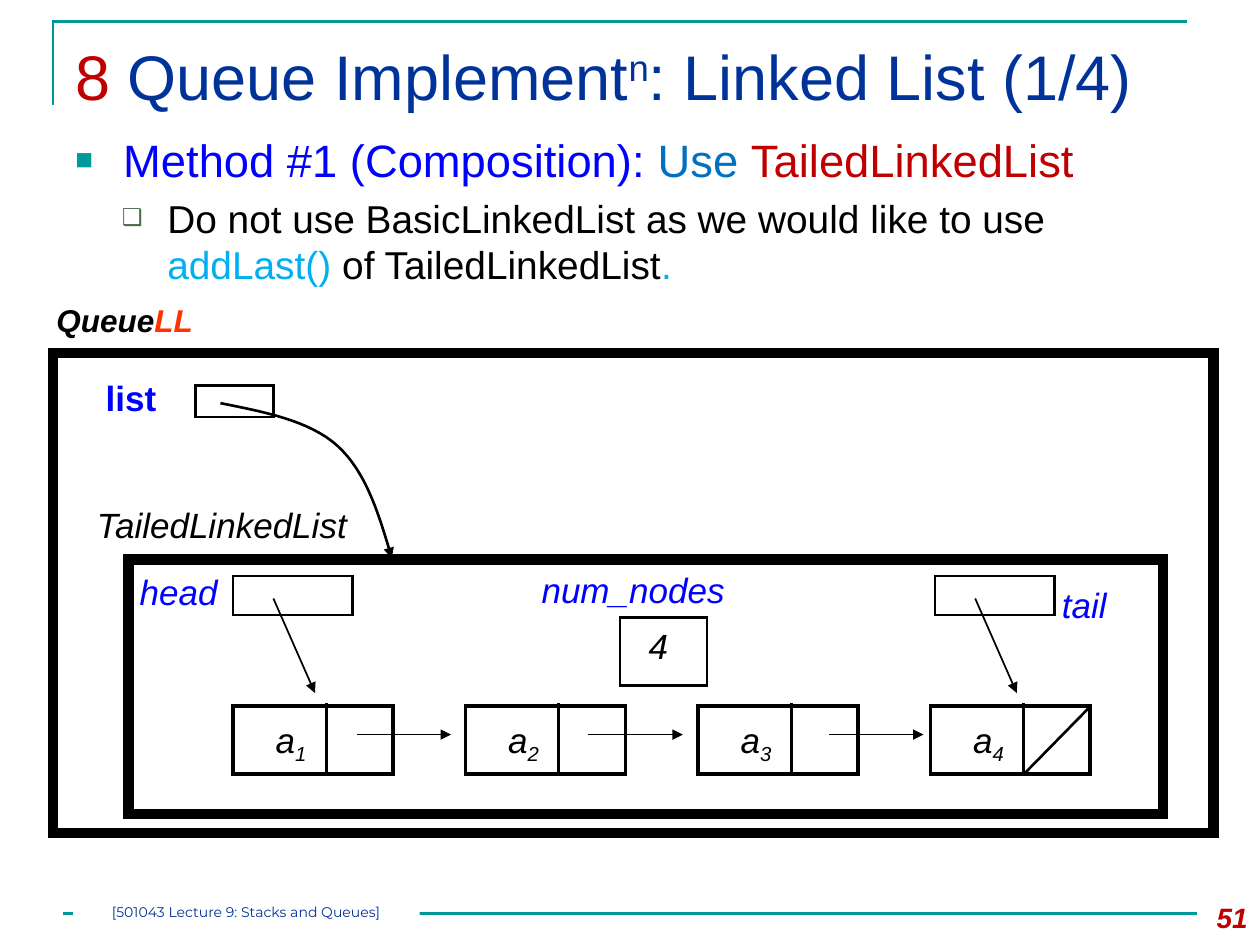
from dataclasses import dataclass
from typing import Optional

from lxml.etree import SubElement
from pptx import Presentation
from pptx.dml.color import RGBColor
from pptx.enum.shapes import MSO_CONNECTOR, MSO_SHAPE
from pptx.enum.text import MSO_ANCHOR, PP_ALIGN
from pptx.oxml.ns import qn
from pptx.util import Inches, Pt

BLACK, WHITE, BLUE, NAVY = "000000", "FFFFFF", "0000FF", "003399"
RED, TEAL, SKY = "C00000", "009999", "00B0F0"


@dataclass
class Run:
    text: str
    color: str = BLACK
    baseline: int = 0


@dataclass
class Label:
    left: float
    top: float
    width: float
    height: float
    runs: list[Run]
    size: float = 20
    bold: bool = False
    italic: bool = True


@dataclass
class Box:
    left: float
    top: float
    width: float
    height: float
    weight: float = 1.5
    fill: Optional[str] = None


@dataclass
class Line:
    start: tuple[float, float]
    end: tuple[float, float]
    weight: float = 1
    color: str = BLACK
    arrow: bool = True


def rgb(value: str) -> RGBColor:
    return RGBColor.from_string(value)


def add_runs(paragraph, runs: list[Run], size: float, font: str = "Arial",
             bold: bool = False, italic: bool = False) -> None:
    for item in runs:
        run = paragraph.add_run()
        run.text = item.text
        run.font.name, run.font.size = font, Pt(size)
        run.font.bold, run.font.italic = bold, italic
        run.font.color.rgb = rgb(item.color)
        if item.baseline:
            run.font._element.set("baseline", str(item.baseline * 1000))


def add_text(slide, position: tuple, runs: list[Run], size: float = 20, *, font: str = "Arial",
             bold: bool = False, italic: bool = False, wrap: bool = False,
             align=PP_ALIGN.LEFT, top_inset: float = 0.05, fill: Optional[str] = None):
    shape = slide.shapes.add_textbox(*map(Inches, position))
    if fill:
        shape.fill.solid()
        shape.fill.fore_color.rgb = rgb(fill)
    frame = shape.text_frame
    frame.word_wrap, frame.vertical_anchor = wrap, MSO_ANCHOR.TOP
    frame.margin_top = Inches(top_inset)
    paragraph = frame.paragraphs[0]
    paragraph.alignment = align
    add_runs(paragraph, runs, size, font, bold, italic)
    return shape


def add_label(slide, label: Label) -> None:
    add_text(slide, (label.left, label.top, label.width, label.height), label.runs,
             label.size, bold=label.bold, italic=label.italic)


def add_bullet(paragraph, character: str, color: str, percent: int,
               margin: float, hanging: float) -> None:
    properties = paragraph._p.get_or_add_pPr()
    properties.set("marL", str(Inches(margin)))
    properties.set("indent", str(-Inches(hanging)))
    bullet_color = SubElement(properties, qn("a:buClr"))
    SubElement(bullet_color, qn("a:srgbClr"), val=color)
    SubElement(properties, qn("a:buSzPct"), val=str(percent * 1000))
    SubElement(properties, qn("a:buFont"), typeface="Arial")
    SubElement(properties, qn("a:buChar"), char=character)


def add_box(slide, box: Box) -> None:
    shape = slide.shapes.add_shape(
        MSO_SHAPE.RECTANGLE, *map(Inches, (box.left, box.top, box.width, box.height)))
    shape.shadow.inherit = False
    if box.fill:
        shape.fill.solid()
        shape.fill.fore_color.rgb = rgb(box.fill)
    else:
        shape.fill.background()
    style_line(shape, box.weight)


def style_line(shape, weight: float, color: str = BLACK, arrow: bool = False) -> None:
    shape.line.color.rgb = rgb(color)
    shape.line.width = Pt(weight)
    outline = shape.line._get_or_add_ln()
    SubElement(outline, qn("a:miter"), lim="800000")
    if arrow:
        SubElement(outline, qn("a:tailEnd"), type="triangle")


def add_line(slide, line: Line) -> None:
    connector = slide.shapes.add_connector(
        MSO_CONNECTOR.STRAIGHT, *map(Inches, line.start + line.end))
    style_line(connector, line.weight, line.color, line.arrow)
    SubElement(connector._element.spPr, qn("a:effectLst"))


def add_outline(slide, points: list[tuple], weight: float, color: str, arrow: bool = False) -> None:
    # The builder rounds its points to whole units, so they are given in EMU
    vertices = [(Inches(x), Inches(y)) for x, y in points]
    builder = slide.shapes.build_freeform(*vertices[0])
    builder.add_line_segments(vertices[1:], close=False)
    shape = builder.convert_to_shape()
    shape.shadow.inherit = False
    shape.fill.background()
    style_line(shape, weight, color, arrow)


def curve_points(p0: tuple, p1: tuple, p2: tuple, p3: tuple, steps: int = 16) -> list[tuple]:
    """Points of a cubic Bezier curve, without its first one."""
    points = []
    for step in range(1, steps + 1):
        t = step / steps
        weights = ((1 - t) ** 3, 3 * t * (1 - t) ** 2, 3 * t * t * (1 - t), t ** 3)
        points.append(tuple(sum(w * p[axis] for w, p in zip(weights, (p0, p1, p2, p3)))
                            for axis in (0, 1)))
    return points


def add_node(slide, left: float, number: int) -> None:
    add_box(slide, Box(left, 5.6, 1.27, 0.54, 2.25))
    add_line(slide, Line((left + 0.74, 5.58), (left + 0.74, 6.13), 1.5, arrow=False))
    add_label(slide, Label(left + 0.24, 5.65, 0.46, 0.43, [Run("a"), Run(str(number), baseline=-25)]))


def main() -> None:
    presentation = Presentation()
    presentation.slide_width, presentation.slide_height = Inches(10), Inches(7.5)
    slide = presentation.slides.add_slide(presentation.slide_layouts[6])

    # Frame, title and bullets
    add_outline(slide, [(0.42, 0.83), (0.42, 0.17), (9.42, 0.17)], 1.5, TEAL)
    add_line(slide, Line((0.5, 7.25), (9.5, 7.25), 1.5, TEAL, arrow=False))
    add_text(slide, (0.5, 0.25, 9, 0.86),
             [Run("8 ", RED), Run("Queue Implement", NAVY), Run("n", NAVY, 30),
              Run(": Linked List (1/4)", NAVY)], 36, wrap=True)
    body = add_text(slide, (0.5, 1, 9, 1.25),
                    [Run("Method #1 (Composition): ", BLUE), Run("Use ", "0070C0"),
                     Run("TailedLinkedList", RED)], 25.9, wrap=True)
    method = body.text_frame.paragraphs[0]
    reason = body.text_frame.add_paragraph()
    add_runs(reason, [Run("Do not use BasicLinkedList as we would like to use "),
                      Run("addLast() ", SKY), Run("of TailedLinkedList"), Run(".", SKY)], 22.2)
    method.space_before, reason.space_before = Pt(4), Pt(4.5)
    add_bullet(method, "■", TEAL, 65, 0.38, 0.38)
    add_bullet(reason, "❑", "4C6D4E", 60, 0.73, 0.36)

    # Outer and inner containers, fields
    for box in (Box(0.42, 2.8, 9.21, 3.81, 6), Box(1.02, 4.44, 8.21, 2.02, 6),
                Box(1.55, 3.06, 0.62, 0.25), Box(4.92, 4.9, 0.69, 0.54, fill=WHITE),
                Box(1.85, 4.57, 0.95, 0.31), Box(7.42, 4.57, 0.95, 0.31)):
        add_box(slide, box)
    for label in (
        Label(0.35, 2.34, 1.3, 0.4, [Run("Queue"), Run("LL", "FF3300")], 18, bold=True),
        Label(0.74, 2.94, 0.6, 0.43, [Run("list", BLUE)], bold=True, italic=False),
        Label(0.67, 3.95, 2.21, 0.44, [Run("TailedLinkedList")]),
        Label(1.01, 4.48, 0.82, 0.43, [Run("head", BLUE)]),
        Label(4.2, 4.46, 1.8, 0.44, [Run("num_nodes", BLUE)]),
        Label(5.05, 4.91, 0.39, 0.44, [Run("4")]),
        Label(8.33, 4.58, 0.56, 0.44, [Run("tail", BLUE)]),
    ):
        add_label(slide, label)

    # Linked nodes and their pointers
    for index in range(4):
        add_node(slide, 1.85 + 1.845 * index, index + 1)
    add_line(slide, Line((8.65, 5.61), (8.13, 6.14), 1.5, arrow=False))
    for left in (2.83, 4.67, 6.58):
        add_line(slide, Line((left, 5.83), (left + 0.75, 5.83)))
    for left in (2.17, 7.74):
        add_line(slide, Line((left, 4.75), (left + 0.33, 5.5)))
    start, bend, end = (1.75, 3.2), (2.68, 3.54), (3.11, 4.43)
    add_outline(slide, [start] + curve_points(start, (2.1, 3.27), (2.46, 3.34), bend)
                + curve_points(bend, (2.91, 3.75), (3.01, 4.09), end), 1.5, BLACK, arrow=True)

    # Footer and page number
    footer = add_text(slide, (0.58, 7.17, 2.75, 0.17), [Run("[501043 Lecture 9: Stacks and Queues]", NAVY)],
                      8, font="Montserrat", wrap=True, align=PP_ALIGN.CENTER, top_inset=0, fill=WHITE)
    frame = footer.text_frame
    frame.margin_left = frame.margin_right = frame.margin_bottom = 0
    add_text(slide, (9.33, 7.1, 0.67, 0.4), [Run("51", RED)], 16, bold=True, italic=True,
             wrap=True, align=PP_ALIGN.RIGHT)

    presentation.save("out.pptx")


if __name__ == "__main__":
    main()
